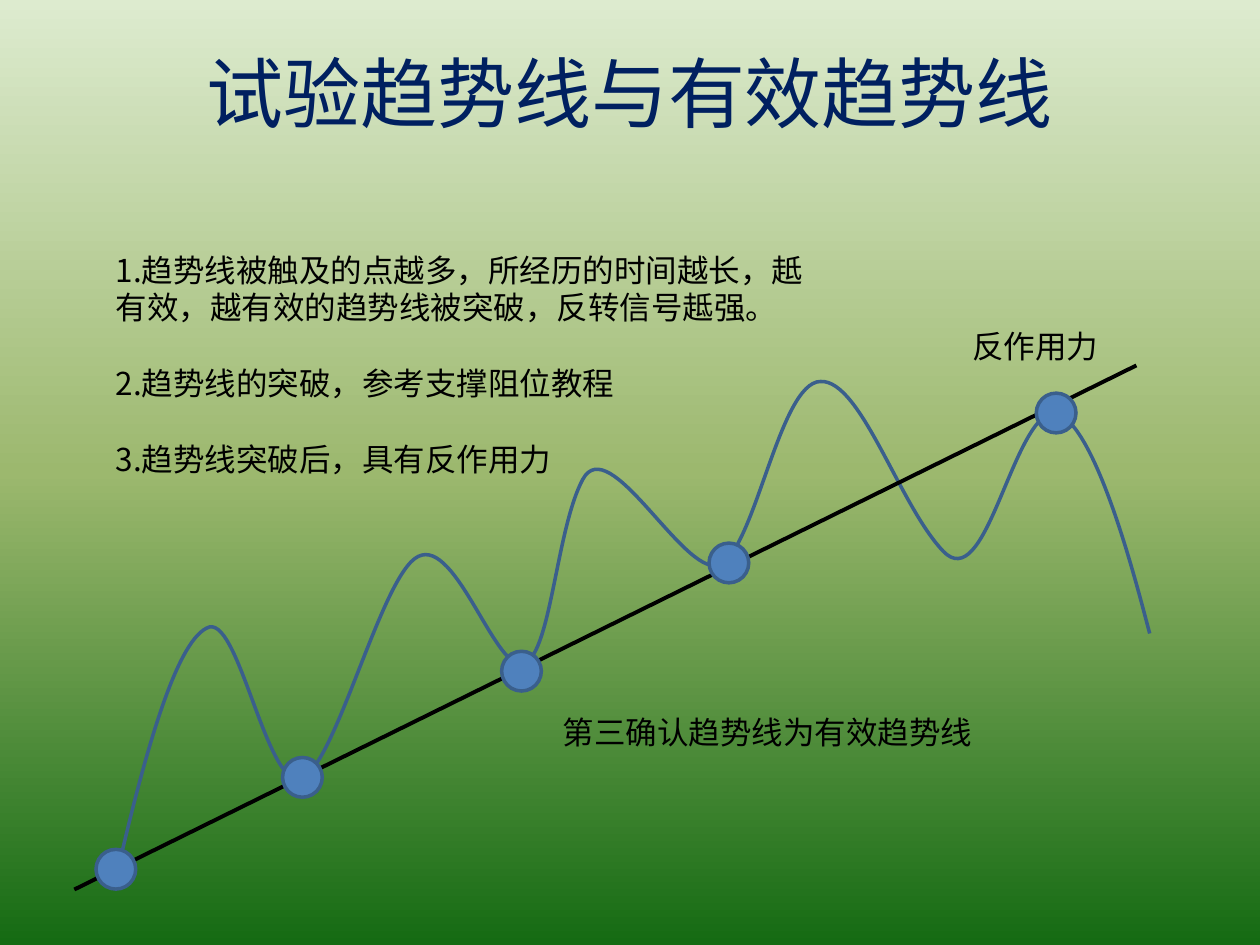
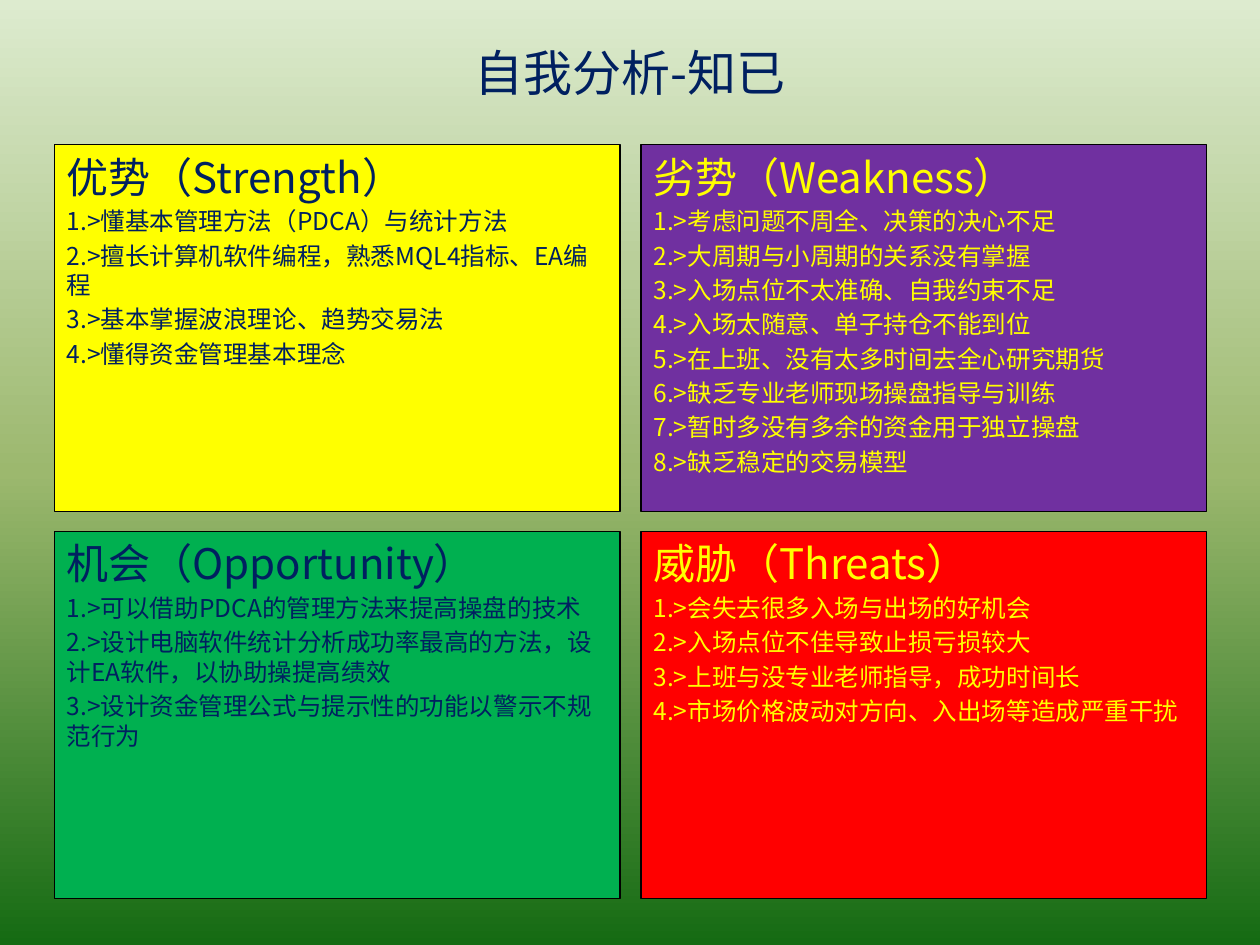
"""Build two slides on trend lines and a SWOT self-analysis."""
from copy import deepcopy

from lxml.etree import SubElement
from pptx import Presentation
from pptx.dml.color import RGBColor
from pptx.enum.shapes import MSO_CONNECTOR, MSO_SHAPE
from pptx.enum.text import MSO_ANCHOR, PP_ALIGN
from pptx.oxml.ns import qn
from pptx.util import Pt

FONT = "Noto Sans CJK SC"
NAVY, BLACK, YELLOW = "002060", "000000", "FFFF00"
CURVE_BLUE, POINT_BLUE = "3A5F8C", "4F81BD"
BACKGROUND_STOPS = [(0, "DDEBCF"), (0.5, "9CB86E"), (1, "156B13")]


def color(hex_string):
    return RGBColor.from_string(hex_string)


def write(shape, lines, sizes, text_color, gap=0, align=PP_ALIGN.LEFT, anchor=MSO_ANCHOR.TOP, wrap=True):
    frame = shape.text_frame
    frame.word_wrap = wrap
    frame.vertical_anchor = anchor
    frame.text = "\n".join(lines)
    for index, paragraph in enumerate(frame.paragraphs):
        paragraph.alignment = align
        paragraph.space_before = Pt(gap if index else 0)
        paragraph.font.size = Pt(sizes[min(index, len(sizes) - 1)])
        paragraph.font.color.rgb = color(text_color)
        paragraph.font.name = FONT
        defaults = paragraph._p.pPr.find(qn("a:defRPr"))
        SubElement(defaults, qn("a:ea"), typeface=FONT)


presentation = Presentation()
presentation.slide_width, presentation.slide_height = Pt(720), Pt(540)

master = presentation.slide_master
background = master.background.fill
background.gradient()
background.gradient_angle = 270
stop_list = master.element.find(".//" + qn("a:gsLst"))
stop_list.insert(1, deepcopy(stop_list[0]))
for stop, (position, stop_color) in zip(background.gradient_stops, BACKGROUND_STOPS):
    stop.position = position
    stop.color.rgb = color(stop_color)

slides = []
for title, size, height in [("试验趋势线与有效趋势线", 44, 61.2), ("自我分析-知已", 28, 38.9)]:
    slide = presentation.slides.add_slide(presentation.slide_layouts[6])
    title_box = slide.shapes.add_textbox(Pt(36), Pt(21.6), Pt(648), Pt(height))
    write(title_box, [title], [size], NAVY, align=PP_ALIGN.CENTER, anchor=MSO_ANCHOR.MIDDLE)
    slides.append(slide)
trend_slide, swot_slide = slides

price_start = (66.2, 502.6)
price_curves = [
    [(82.1, 432.7), (100.1, 367.9), (118.1, 358.6)],
    [(136.1, 348.5), (151.9, 451.4), (172.1, 445)],
    [(192.2, 438.5), (218.2, 328.3), (239, 317.5)],
    [(260.6, 306.7), (284.4, 386.6), (299.5, 378.7)],
    [(315.4, 371.5), (317.5, 302.4), (332.6, 274.3)],
    [(348.5, 245.5), (389.5, 327.6), (410.4, 322.6)],
    [(431.3, 317.5), (445, 218.2), (468.7, 218.2)],
    [(492.5, 217.4), (514.1, 289.4), (538.6, 314.6)],
    [(563, 339.8), (576.7, 246.2), (599.8, 236.2)],
    [(625, 231.8), (651.6, 344.2), (656.6, 362.2)],
]
builder = trend_slide.shapes.build_freeform(*price_start, scale=Pt(1))
builder.add_line_segments([point for curve in price_curves for point in curve], close=False)
price_line = builder.convert_to_shape()
price_line.shadow.inherit = False
price_line.fill.background()
price_line.line.color.rgb = color(CURVE_BLUE)
price_line.line.width = Pt(2)
outline = price_line.element.find(".//" + qn("a:path"))
segments = outline.findall(qn("a:lnTo"))
for first in range(0, len(segments), 3):
    bezier = SubElement(outline, qn("a:cubicBezTo"))
    for segment in segments[first:first + 3]:
        bezier.append(segment[0])
        outline.remove(segment)

trend_line = trend_slide.shapes.add_connector(
    MSO_CONNECTOR.STRAIGHT, Pt(42.5), Pt(508.3), Pt(649.4), Pt(208.8))
trend_line.line.color.rgb = color(BLACK)
trend_line.line.width = Pt(2.25)
SubElement(trend_line.element.spPr, qn("a:effectLst"))

diameter = 22.7
for x, y in [(66.2, 496.7), (172.8, 444.2), (416.5, 321.7), (298, 383.5), (603.5, 236)]:
    touch_point = trend_slide.shapes.add_shape(
        MSO_SHAPE.OVAL, Pt(x - diameter / 2), Pt(y - diameter / 2), Pt(diameter), Pt(diameter))
    touch_point.shadow.inherit = False
    touch_point.fill.solid()
    touch_point.fill.fore_color.rgb = color(POINT_BLUE)
    touch_point.line.color.rgb = color(CURVE_BLUE)
    touch_point.line.width = Pt(2)

rules = [
    "1.趋势线被触及的点越多，所经历的时间越长，赿有效，越有效的趋势线被突破，反转信号趆强。",
    "2.趋势线的突破，参考支撑阻位教程",
    "3.趋势线突破后，具有反作用力",
]
for lines, left, top, width, height, wrap in [
    (["第三确认趋势线为有效趋势线"], 314.6, 403.9, 250.6, 28.8, False),
    (rules, 59, 139.7, 414, 138.2, True),
    (["反作用力"], 548.6, 183.6, 87.1, 28.8, False),
]:
    note = trend_slide.shapes.add_textbox(Pt(left), Pt(top), Pt(width), Pt(height))
    write(note, lines, [18], BLACK, gap=21.6, wrap=wrap)

quadrants = [
    ("FFFF00", NAVY, [
        "优势（Strength）",
        "1.>懂基本管理方法（PDCA）与统计方法",
        "2.>擅长计算机软件编程，熟悉MQL4指标、EA编程",
        "3.>基本掌握波浪理论、趋势交易法",
        "4.>懂得资金管理基本理念",
    ]),
    ("7030A0", YELLOW, [
        "劣势（Weakness）",
        "1.>考虑问题不周全、决策的决心不足",
        "2.>大周期与小周期的关系没有掌握",
        "3.>入场点位不太准确、自我约束不足",
        "4.>入场太随意、单子持仓不能到位",
        "5.>在上班、没有太多时间去全心研究期货",
        "6.>缺乏专业老师现场操盘指导与训练",
        "7.>暂时多没有多余的资金用于独立操盘",
        "8.>缺乏稳定的交易模型",
    ]),
    ("00B050", NAVY, [
        "机会（Opportunity）",
        "1.>可以借助PDCA的管理方法来提高操盘的技术",
        "2.>设计电脑软件统计分析成功率最高的方法，设计EA软件，以协助操提高绩效",
        "3.>设计资金管理公式与提示性的功能以警示不规范行为",
    ]),
    ("FF0000", YELLOW, [
        "威胁（Threats）",
        "1.>会失去很多入场与出场的好机会",
        "2.>入场点位不佳导致止损亏损较大",
        "3.>上班与没专业老师指导，成功时间长",
        "4.>市场价格波动对方向、入出场等造成严重干扰",
    ]),
]
for index, (fill_color, text_color, lines) in enumerate(quadrants):
    row, column = divmod(index, 2)
    quadrant = swot_slide.shapes.add_shape(
        MSO_SHAPE.RECTANGLE, Pt(31 + 335.3 * column), Pt(82.8 + 221 * row), Pt(323.3), Pt(209.6))
    quadrant.shadow.inherit = False
    quadrant.fill.solid()
    quadrant.fill.fore_color.rgb = color(fill_color)
    quadrant.line.color.rgb = color(BLACK)
    quadrant.line.width = Pt(0.75)
    write(quadrant, lines, [24, 14], text_color, gap=2.8)

presentation.save("out.pptx")
